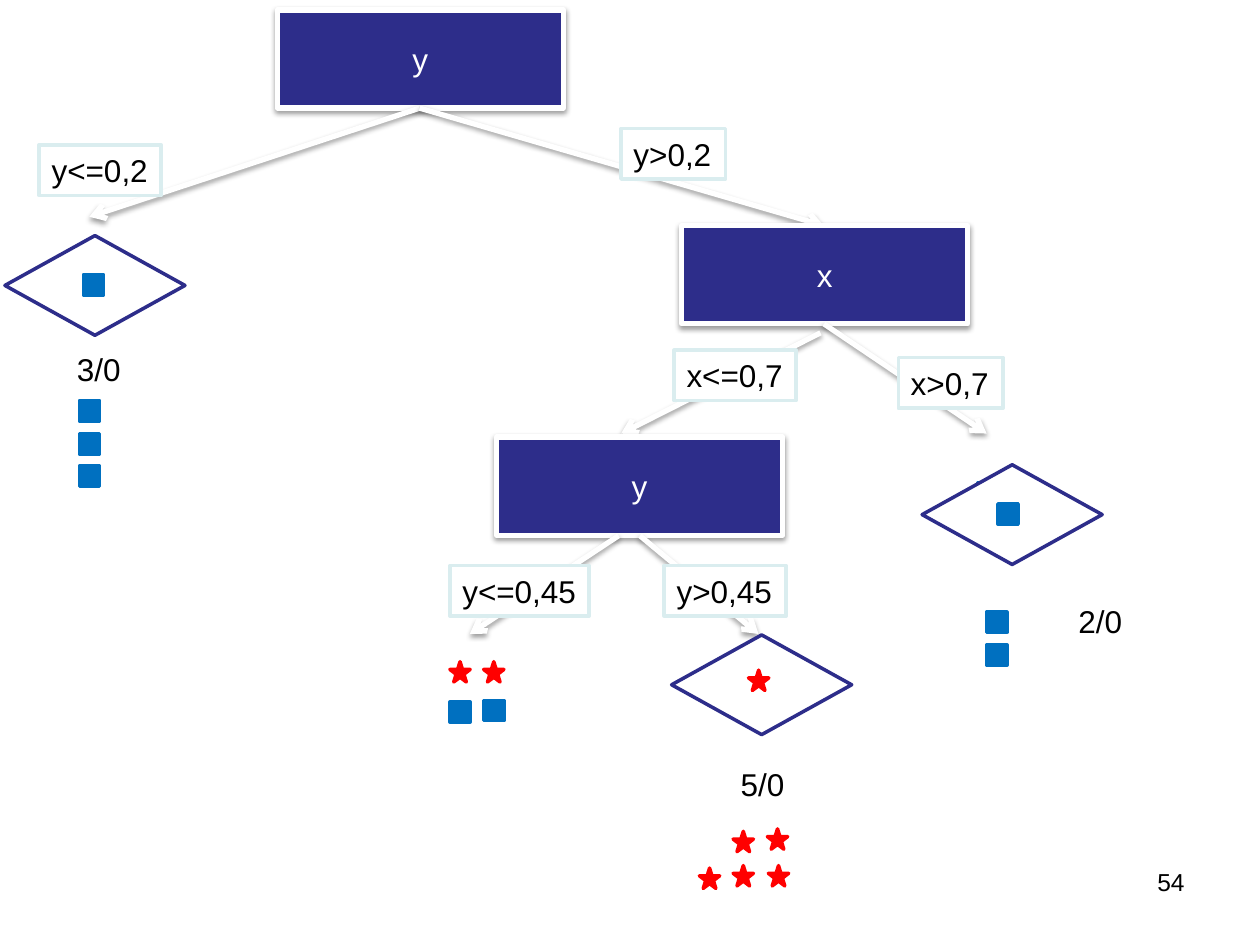
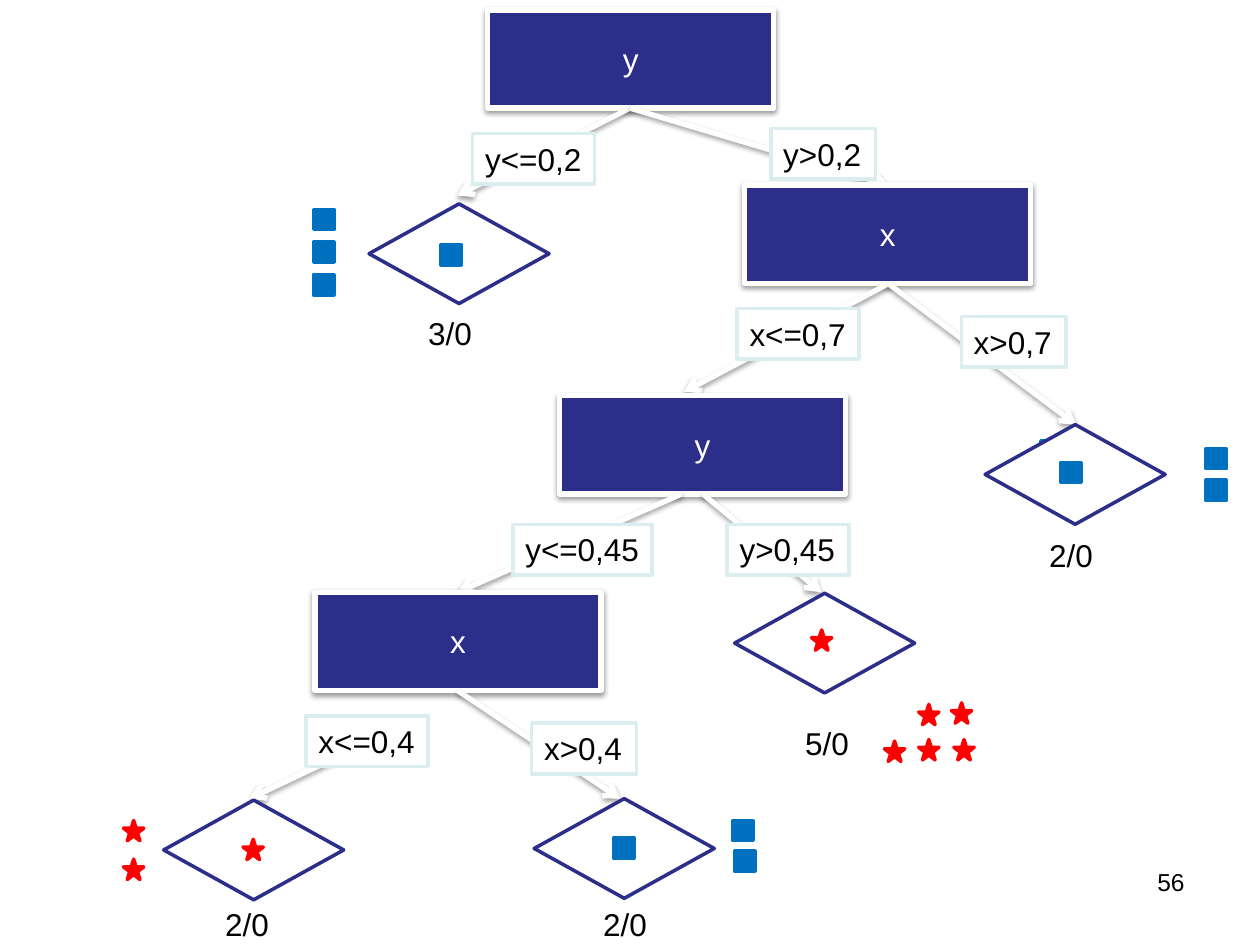
import pptx
import pptx.util
import pptx.dml.color
import pptx.enum.shapes
import pptx.enum.text
import pptx.oxml
import pptx.oxml.ns
from pptx.util import Cm

NAVY, WHITE, BLACK, PALE = "2D2D8A", "FFFFFF", "000000", "DAEDEF"
BOX_WIDTH, BOX_HEIGHT = 5.77, 1.98
LEAF_WIDTH, LEAF_HEIGHT = 3.63, 2.01
TEXT_HEIGHT = 1.02
MARKER_SIZE = 0.41
SHAPES = pptx.enum.shapes.MSO_SHAPE
ALIGN = pptx.enum.text.PP_ALIGN
MARKERS = {
    "square": (SHAPES.RECTANGLE, "0070C0"),
    "star": (SHAPES.STAR_5_POINT, "FF0000"),
}
SHADOW = (
    '<a:effectLst %s><a:outerShdw blurRad="39370" dist="20320" dir="5400000" rotWithShape="0">'
    '<a:srgbClr val="000000"><a:alpha val="38000"/></a:srgbClr></a:outerShdw></a:effectLst>'
    % pptx.oxml.ns.nsdecls("a")
)
NO_SHADOW = "<a:effectLst %s/>" % pptx.oxml.ns.nsdecls("a")
ARROWHEAD = '<a:tailEnd %s type="arrow"/>' % pptx.oxml.ns.nsdecls("a")


def paint(shape, line, width=2, fill=None, effects=NO_SHADOW):
    if fill:
        shape.fill.solid()
        shape.fill.fore_color.rgb = pptx.dml.color.RGBColor.from_string(fill)
    shape.line.color.rgb = pptx.dml.color.RGBColor.from_string(line)
    shape.line.width = pptx.util.Pt(width)
    shape._element.spPr.append(pptx.oxml.parse_xml(effects))


def write(shape, text, size=18, color=BLACK, align=ALIGN.LEFT, wrap=True,
          anchor=pptx.enum.text.MSO_ANCHOR.TOP):
    frame = shape.text_frame
    frame.word_wrap = wrap
    frame.vertical_anchor = anchor
    paragraph = frame.paragraphs[0]
    paragraph.alignment = align
    run = paragraph.add_run()
    run.text = text
    run.font.name = "Arial"
    run.font.size = pptx.util.Pt(size)
    run.font.color.rgb = pptx.dml.color.RGBColor.from_string(color)


# decisions: variable, left, top, branches (label, label place, line start, line end)
# leaves: place, class, marker place, count, count place
trees = [
    {
        "number": "54",
        "decisions": [
            ("y", 5.59, 0.2, [
                ("y<=0,2", (0.79, 2.92), (8.46, 2.18), (1.8, 4.37)),
                ("y>0,2", (12.52, 2.59), (8.46, 2.18), (16.61, 4.55))]),
            ("x", 13.74, 4.55, [
                ("x<=0,7", (13.59, 7.06), (16.54, 6.71), (12.52, 8.74)),
                ("x>0,7", (18.11, 7.21), (16.61, 6.53), (19.89, 8.74))]),
            ("y", 10.01, 8.81, [
                ("y<=0,45", (9.07, 11.4), (12.47, 10.8), (9.47, 12.78)),
                ("y>0,45", (13.39, 11.4), (12.9, 10.8), (15.29, 12.78))]),
        ],
        "samples": {
            "square": [(9.07, 14.15), (9.75, 14.12), (1.6, 8.08), (1.6, 8.74), (1.6, 9.4),
                       (19.89, 12.34), (19.89, 13), (19.71, 9.73)],
            "star": [(14.1, 17.5), (14.78, 17.45), (15.49, 17.45), (14.78, 16.76),
                     (15.47, 16.71), (9.07, 13.34), (9.75, 13.34)],
        },
        "leaves": [
            ((0.1, 4.75), "square", (1.68, 5.54), "3/0", (1.3, 6.93)),
            ((18.59, 9.37), "square", (20.12, 10.16), "2/0", (21.49, 12.01)),
            ((13.54, 12.8), "star", (15.09, 13.51), "5/0", (14.68, 15.29)),
        ],
    },
    {
        "number": "56",
        "decisions": [
            ("y", 9.83, 0.2, [
                ("y<=0,2", (9.53, 2.69), (12.7, 2.18), (9.22, 3.94)),
                ("y>0,2", (15.54, 2.59), (12.7, 2.18), (17.91, 3.73))]),
            ("x", 15.01, 3.73, [
                ("x<=0,7", (14.86, 6.22), (17.91, 5.72), (13.79, 7.9)),
                ("x>0,7", (19.38, 6.38), (17.91, 5.72), (21.69, 8.56))]),
            ("y", 11.28, 7.98, [
                ("y<=0,45", (10.34, 10.57), (13.74, 9.96), (9.22, 11.94)),
                ("y>0,45", (14.66, 10.57), (14.17, 9.96), (16.56, 11.94))]),
            ("x", 6.35, 11.94, [
                ("x<=0,4", (6.17, 14.43), (7.92, 14.73), (5.03, 16.1)),
                ("x>0,4", (10.72, 14.58), (9.22, 13.92), (12.5, 16.1))]),
        ],
        "samples": {
            "square": [(14.78, 16.54), (14.81, 17.15), (6.32, 4.22), (6.32, 4.88), (6.32, 5.54),
                       (24.31, 9.04), (24.31, 9.68), (20.98, 8.89)],
            "star": [(17.83, 14.94), (18.52, 14.91), (19.23, 14.91), (18.52, 14.2),
                     (19.18, 14.17), (2.49, 16.54), (2.49, 17.32)],
        },
        "leaves": [
            ((7.44, 4.11), "square", (8.89, 4.93), "3/0", (8.38, 6.2)),
            ((19.86, 8.56), "square", (21.39, 9.32), "2/0", (20.9, 10.69)),
            ((14.81, 11.96), "star", (16.36, 12.7), "5/0", (15.98, 14.48)),
            ((3.3, 16.13), "star", (4.9, 16.92), "2/0", (4.29, 18.11)),
            ((10.77, 16.1), "square", (12.37, 16.89), "2/0", (11.91, 18.11)),
        ],
    },
]

presentation = pptx.Presentation()
presentation.slide_width = Cm(25.4)
presentation.slide_height = Cm(19.05)

for tree in trees:
    slide = presentation.slides.add_slide(presentation.slide_layouts[6])
    shapes = slide.shapes

    for variable, left, top, branches in tree["decisions"]:
        box = shapes.add_shape(SHAPES.RECTANGLE, Cm(left), Cm(top), Cm(BOX_WIDTH), Cm(BOX_HEIGHT))
        paint(box, WHITE, 3, NAVY, SHADOW)
        write(box, variable, color=WHITE, align=ALIGN.CENTER,
              anchor=pptx.enum.text.MSO_ANCHOR.MIDDLE)
        for label, place, start, end in branches:
            arrow = shapes.add_connector(pptx.enum.shapes.MSO_CONNECTOR.STRAIGHT,
                                         *map(Cm, start + end))
            paint(arrow, WHITE, 3, effects=SHADOW)
            arrow.line._get_or_add_ln().append(pptx.oxml.parse_xml(ARROWHEAD))
        for label, place, start, end in branches:
            width = 0.36 + 0.35 * len(label)
            condition = shapes.add_shape(SHAPES.RECTANGLE, *map(Cm, place),
                                         Cm(width), Cm(TEXT_HEIGHT))
            paint(condition, PALE, fill=WHITE)
            write(condition, label, wrap=False)

    markers = [(kind, place) for kind, places in tree["samples"].items() for place in places]
    for place, kind, marker_place, count, count_place in tree["leaves"]:
        markers.append(("leaf", place))
        markers.append((kind, marker_place))
        count_box = shapes.add_textbox(*map(Cm, count_place), Cm(1.8), Cm(TEXT_HEIGHT))
        write(count_box, count)

    for kind, place in markers:
        if kind == "leaf":
            leaf = shapes.add_shape(SHAPES.DIAMOND, *map(Cm, place),
                                    Cm(LEAF_WIDTH), Cm(LEAF_HEIGHT))
            paint(leaf, NAVY, fill=WHITE)
        else:
            preset, color = MARKERS[kind]
            marker = shapes.add_shape(preset, *map(Cm, place), Cm(MARKER_SIZE), Cm(MARKER_SIZE))
            paint(marker, color, fill=color)

    number_box = shapes.add_textbox(Cm(18.21), Cm(17.35), Cm(5.92), Cm(1.32))
    write(number_box, tree["number"], size=14, align=ALIGN.RIGHT)

presentation.save("out.pptx")
